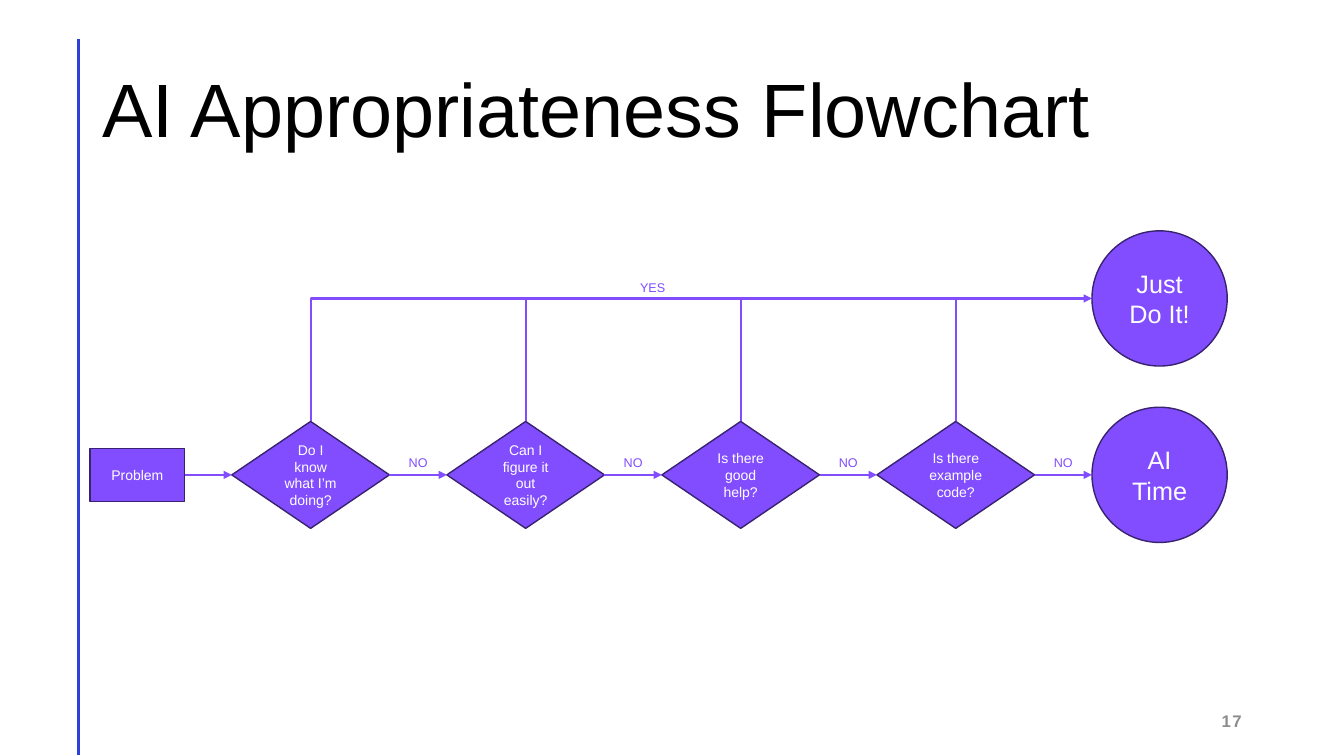
"""Build the AI appropriateness flowchart slide."""
from lxml import etree
from pptx import Presentation
from pptx import util as u
from pptx.dml.color import RGBColor
from pptx.enum import shapes, text
from pptx.oxml.ns import qn

COLORS = {
    "accent": "814DFF",
    "outline": "392270",
    "rule": "2F3FDB",
    "number": "8C8C8C",
    "title": "000000",
    "white": "FFFFFF",
}
QUESTIONS = [
    "Do I know what I’m doing?",
    "Can I figure it out easily?",
    "Is there good help?",
    "Is there example code?",
]
STEP_LEFT, STEP_PITCH = 165.6, 153.6
STEP_WIDTH, STEP_HEIGHT = 112.6, 76.4
GAP = STEP_PITCH - STEP_WIDTH
CIRCLE = 96.6
FLOW_Y, YES_Y = 339.2, 213.2
STEP_TOP = FLOW_Y - STEP_HEIGHT / 2
END_LEFT = STEP_LEFT + STEP_PITCH * len(QUESTIONS)


class FlowSlide:
    def __init__(self, slide, font="Arial"):
        self.shapes = slide.shapes
        self.font = font

    def color(self, name):
        return RGBColor.from_string(COLORS[name])

    def set_text(self, shape, words, size, color, align):
        frame = shape.text_frame
        frame.word_wrap = True
        frame.vertical_anchor = text.MSO_ANCHOR.MIDDLE
        paragraph = frame.paragraphs[0]
        paragraph.text = words
        paragraph.alignment = align
        paragraph.font.name = self.font
        paragraph.font.size = u.Pt(size)
        paragraph.font.color.rgb = self.color(color)
        return paragraph

    def text_box(self, box, words, size, color, align=text.PP_ALIGN.LEFT):
        shape = self.shapes.add_textbox(*map(u.Pt, box))
        return self.set_text(shape, words, size, color, align)

    def label(self, left, line_y, words):
        box = (left, line_y - 18, GAP, 18)
        self.text_box(box, words, 9, "accent", text.PP_ALIGN.CENTER)

    def node(self, kind, box, words, size):
        shape = self.shapes.add_shape(kind, *map(u.Pt, box))
        shape.shadow.inherit = False
        shape.fill.solid()
        shape.fill.fore_color.rgb = self.color("accent")
        shape.line.color.rgb = self.color("outline")
        shape.line.width = u.Pt(1)
        self.set_text(shape, words, size, "white", text.PP_ALIGN.CENTER)

    def line(self, points, color="accent", width=1.5, arrow=None,
             kind=shapes.MSO_CONNECTOR.STRAIGHT):
        connector = self.shapes.add_connector(kind, *map(u.Pt, points))
        connector.line.color.rgb = self.color(color)
        connector.line.width = u.Pt(width)
        properties = connector._element.spPr
        if arrow:
            outline = properties.find(qn("a:ln"))
            etree.SubElement(outline, qn(arrow), type="triangle")
        etree.SubElement(properties, qn("a:effectLst"))
        return properties

    def corner(self, points):
        properties = self.line(points, arrow="a:headEnd",
                               kind=shapes.MSO_CONNECTOR.ELBOW)
        properties.find(qn("a:prstGeom")).set("prst", "bentConnector2")


def main():
    presentation = Presentation()
    presentation.slide_width = u.Pt(960)
    presentation.slide_height = u.Pt(540)
    slide = presentation.slides.add_slide(presentation.slide_layouts[6])
    flow = FlowSlide(slide)

    flow.line((56.2, 28, 56.2, 539.5), "rule", 2)
    number = flow.text_box((678, 500.4, 216, 28.8), "17", 12, "number",
                           text.PP_ALIGN.RIGHT)
    number.font.bold = True
    number.font._element.set("spc", "100")
    title = flow.text_box((66.2, 28.8, 828, 104.4),
                          "AI Appropriateness Flowchart", 54, "title")
    title.line_spacing = 0.9

    for index, question in enumerate(QUESTIONS):
        left = STEP_LEFT + index * STEP_PITCH
        middle = left + STEP_WIDTH / 2
        flow.node(shapes.MSO_SHAPE.FLOWCHART_DECISION,
                  (left, STEP_TOP, STEP_WIDTH, STEP_HEIGHT), question, 10)
        flow.line((left - GAP, FLOW_Y, left, FLOW_Y), arrow="a:tailEnd")
        flow.label(left + STEP_WIDTH, FLOW_Y, "NO")
        if index == 0:
            flow.corner((END_LEFT, YES_Y, middle, STEP_TOP))
        else:
            flow.line((middle, STEP_TOP, middle, YES_Y))

    flow.line((END_LEFT - GAP, FLOW_Y, END_LEFT, FLOW_Y), arrow="a:tailEnd")
    flow.label(445.7, YES_Y + 1, "YES")
    for words, middle in (("Just Do It!", YES_Y), ("AI Time", FLOW_Y)):
        flow.node(shapes.MSO_SHAPE.OVAL,
                  (END_LEFT, middle - CIRCLE / 2, CIRCLE, CIRCLE), words, 18)
    flow.node(shapes.MSO_SHAPE.RECTANGLE, (64.2, FLOW_Y - 19, 67.8, 38),
              "Problem", 10)

    presentation.save("out.pptx")


if __name__ == "__main__":
    main()
